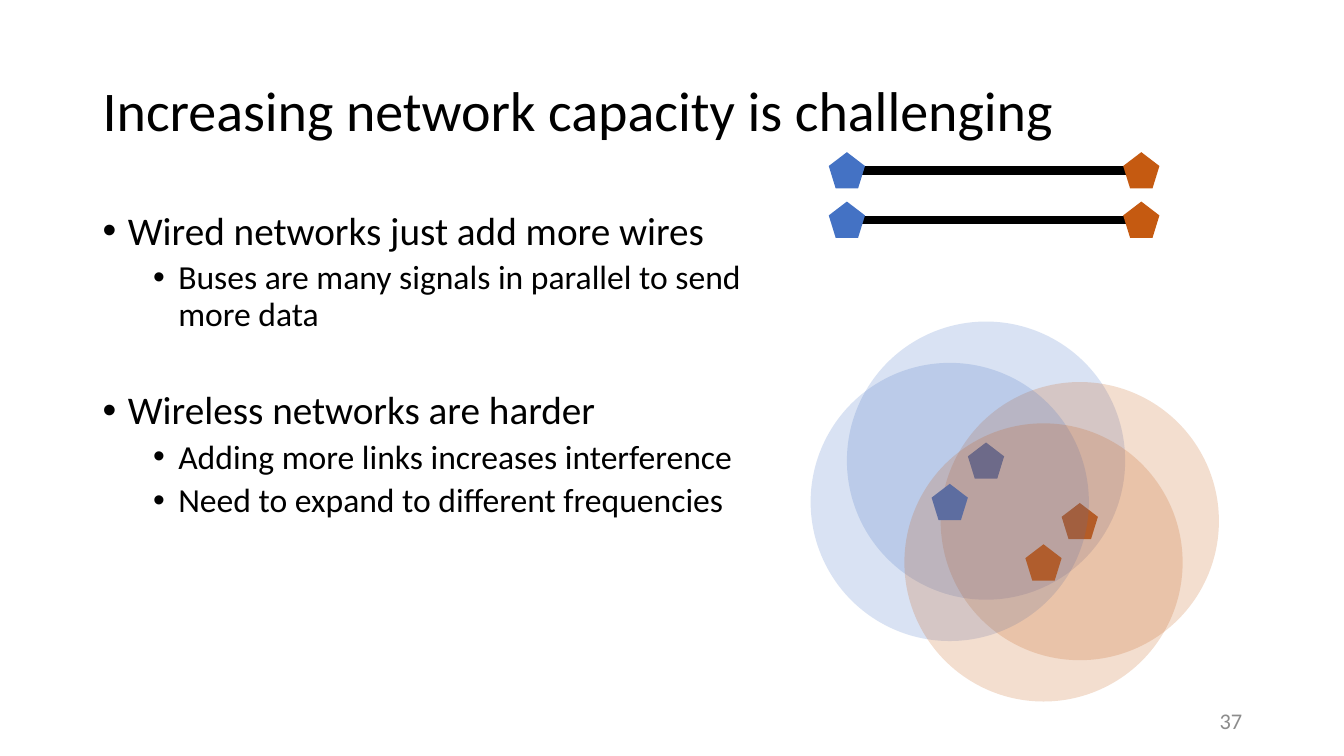
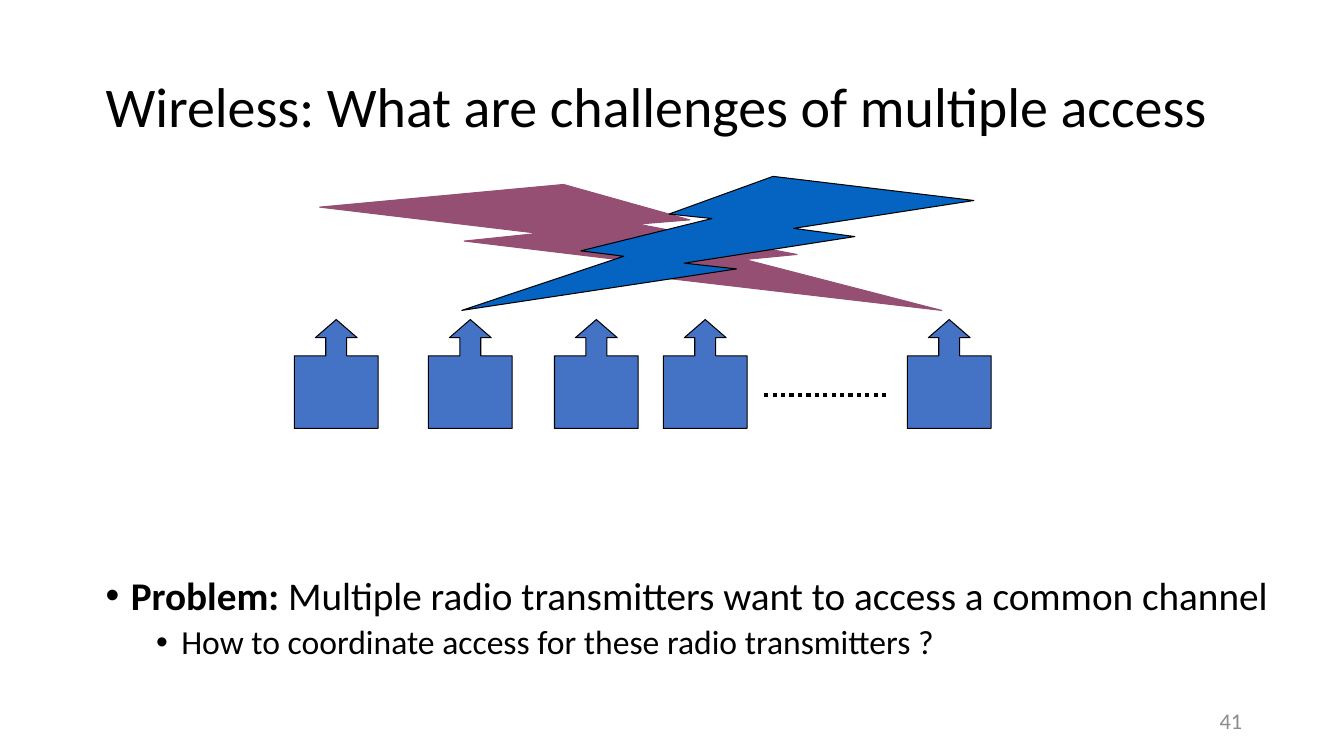
from dataclasses import dataclass

from lxml.etree import SubElement
from pptx import Presentation
from pptx.dml.color import RGBColor
from pptx.enum.dml import MSO_LINE
from pptx.enum.shapes import MSO_CONNECTOR, MSO_SHAPE
from pptx.enum.text import MSO_ANCHOR, PP_ALIGN
from pptx.oxml.ns import qn
from pptx.util import Emu, Pt


@dataclass(frozen=True)
class Theme:
    font: str = "Calibri"
    black: str = "000000"
    gray: str = "8C8C8C"
    blue: str = "4472C4"
    orange: str = "C55A11"
    plum: str = "954F72"
    strong_blue: str = "0563C1"
    title_size: int = 40
    body_sizes: tuple = (28, 24)
    number_size: int = 16
    body_indents: tuple = (25, 75)
    body_gaps: tuple = (10, 5)
    section_gap: int = 41
    line_spacing: float = 0.9
    outline: float = 0.75


THEME = Theme()
EMU_PER_PX = 9144
HANGING = 25
NODE_SIZE = 36
RANGE_SIZE = 276


def px(length):
    return Emu(length * EMU_PER_PX)


def color(value):
    return RGBColor.from_string(value)


def style_run(run, size, run_color=THEME.black, bold=False):
    run.font.name = THEME.font
    run.font.size = Pt(size)
    run.font.bold = bold
    run.font.color.rgb = color(run_color)


def add_frame(slide, left, top, width, height, anchor=MSO_ANCHOR.TOP):
    text_frame = slide.shapes.add_textbox(px(left), px(top), px(width), px(height)).text_frame
    text_frame.word_wrap = True
    text_frame.vertical_anchor = anchor
    return text_frame


def add_title(slide, text, left, top):
    text_frame = add_frame(slide, left, top, 1150, 145, MSO_ANCHOR.MIDDLE)
    text_frame.text = text
    paragraph = text_frame.paragraphs[0]
    paragraph.line_spacing = THEME.line_spacing
    style_run(paragraph.runs[0], THEME.title_size)


def add_slide_number(slide, number):
    text_frame = add_frame(slide, 942, 695, 300, 40, MSO_ANCHOR.MIDDLE)
    text_frame.text = str(number)
    paragraph = text_frame.paragraphs[0]
    paragraph.alignment = PP_ALIGN.RIGHT
    style_run(paragraph.runs[0], THEME.number_size, THEME.gray)


def add_bullet(paragraph, level):
    properties = paragraph._p.get_or_add_pPr()
    properties.set("marL", str(px(THEME.body_indents[level])))
    properties.set("indent", str(px(-HANGING)))
    SubElement(properties, qn("a:buFont"), typeface="Arial")
    SubElement(properties, qn("a:buChar"), char="•")
    paragraph.level = level
    paragraph.line_spacing = THEME.line_spacing


def add_bullets(slide, items, left, top, width, height):
    text_frame = add_frame(slide, left, top, width, height)
    previous_level = None
    for level, lead, text in items:
        first = previous_level is None
        paragraph = text_frame.paragraphs[0] if first else text_frame.add_paragraph()
        add_bullet(paragraph, level)
        if not first:
            new_section = level < previous_level
            paragraph.space_before = Pt(THEME.section_gap if new_section else THEME.body_gaps[level])
        for words, bold in ((lead, True), (text, False)):
            if words:
                run = paragraph.add_run()
                run.text = words
                style_run(run, THEME.body_sizes[level], bold=bold)
        previous_level = level


def add_figure(slide, kind, left, top, width, height, fill, line=None, opacity=None):
    shape = slide.shapes.add_shape(kind, px(left), px(top), px(width), px(height))
    shape.shadow.inherit = False
    shape.fill.solid()
    shape.fill.fore_color.rgb = color(fill)
    if opacity is not None:
        fill_color = shape._element.spPr.find(qn("a:solidFill"))[0]
        SubElement(fill_color, qn("a:alpha"), val=str(opacity * 1000))
    if line:
        shape.line.color.rgb = color(line)
        shape.line.width = Pt(THEME.outline)
    else:
        shape.line.fill.background()
    return shape


def add_line(slide, start, end, y, width, dash=None):
    connector = slide.shapes.add_connector(
        MSO_CONNECTOR.STRAIGHT, px(start), px(y), px(end), px(y))
    connector.line.color.rgb = color(THEME.black)
    connector.line.width = Pt(width)
    if dash:
        connector.line.dash_style = dash
    SubElement(connector._element.spPr, qn("a:effectLst"))


def add_centered(slide, kind, x, y, size, fill, opacity=None):
    add_figure(slide, kind, x - size // 2, y - size // 2, size, size, fill, opacity=opacity)


def add_node(slide, x, y, fill):
    add_centered(slide, MSO_SHAPE.REGULAR_PENTAGON, x, y, NODE_SIZE, fill)


def add_wired_link(slide, y):
    start, end = 840, 1132
    add_line(slide, start, end, y, 6)
    add_node(slide, start, y, THEME.blue)
    add_node(slide, end, y, THEME.orange)


def add_wireless_link(slide, x, y):
    radios = ((x, y, THEME.blue), (x + 93, y + 60, THEME.orange))
    for radio in radios:
        add_node(slide, *radio)
    for center_x, center_y, fill in radios:
        add_centered(slide, MSO_SHAPE.OVAL, center_x, center_y, RANGE_SIZE, fill, opacity=20)


def add_transmitter(slide, left):
    shape = add_figure(slide, MSO_SHAPE.UP_ARROW_CALLOUT, left, 317, 83, 108,
                       THEME.blue, THEME.black)
    for index, value in enumerate((0.25, 0.25, 0.217, 0.667)):
        shape.adjustments[index] = value


def add_signals(slide):
    bolt = MSO_SHAPE.LIGHTNING_BOLT
    add_figure(slide, bolt, 317, 183, 617, 125, THEME.plum, THEME.plum)
    mirrored = add_figure(slide, bolt, 458, 175, 508, 133, THEME.strong_blue, THEME.black)
    mirrored._element.spPr.find(qn("a:xfrm")).set("flipH", "1")


def build_capacity_slide(slide):
    add_title(slide, "Increasing network capacity is challenging", 92, 40)
    add_bullets(slide, (
        (0, "", "Wired networks just add more wires"),
        (1, "", "Buses are many signals in parallel to send more data"),
        (0, "", "Wireless networks are harder"),
        (1, "", "Adding more links increases interference"),
        (1, "", "Need to expand to different frequencies"),
    ), 92, 205, 680, 550)
    add_slide_number(slide, 37)
    for link in range(2):
        add_wired_link(slide, 169 + 49 * link)
        add_wireless_link(slide, 978 - 36 * link, 457 + 41 * link)


def build_access_slide(slide):
    add_title(slide, "Wireless: What are challenges of multiple access", 95, 36)
    add_bullets(slide, (
        (0, "Problem: ", "Multiple radio transmitters want to access a common channel"),
        (1, "", "How to coordinate access for these radio transmitters ?"),
    ), 95, 567, 1199, 108)
    for left in (292, 425, 550, 658, 900):
        add_transmitter(slide, left)
    add_line(slide, 758, 883, 392, 3, MSO_LINE.ROUND_DOT)
    add_signals(slide)
    add_slide_number(slide, 41)


def main():
    presentation = Presentation()
    presentation.slide_width = px(1333)
    presentation.slide_height = px(750)
    blank_layout = presentation.slide_layouts[6]
    for build in (build_capacity_slide, build_access_slide):
        build(presentation.slides.add_slide(blank_layout))
    presentation.save("out.pptx")


if __name__ == "__main__":
    main()
